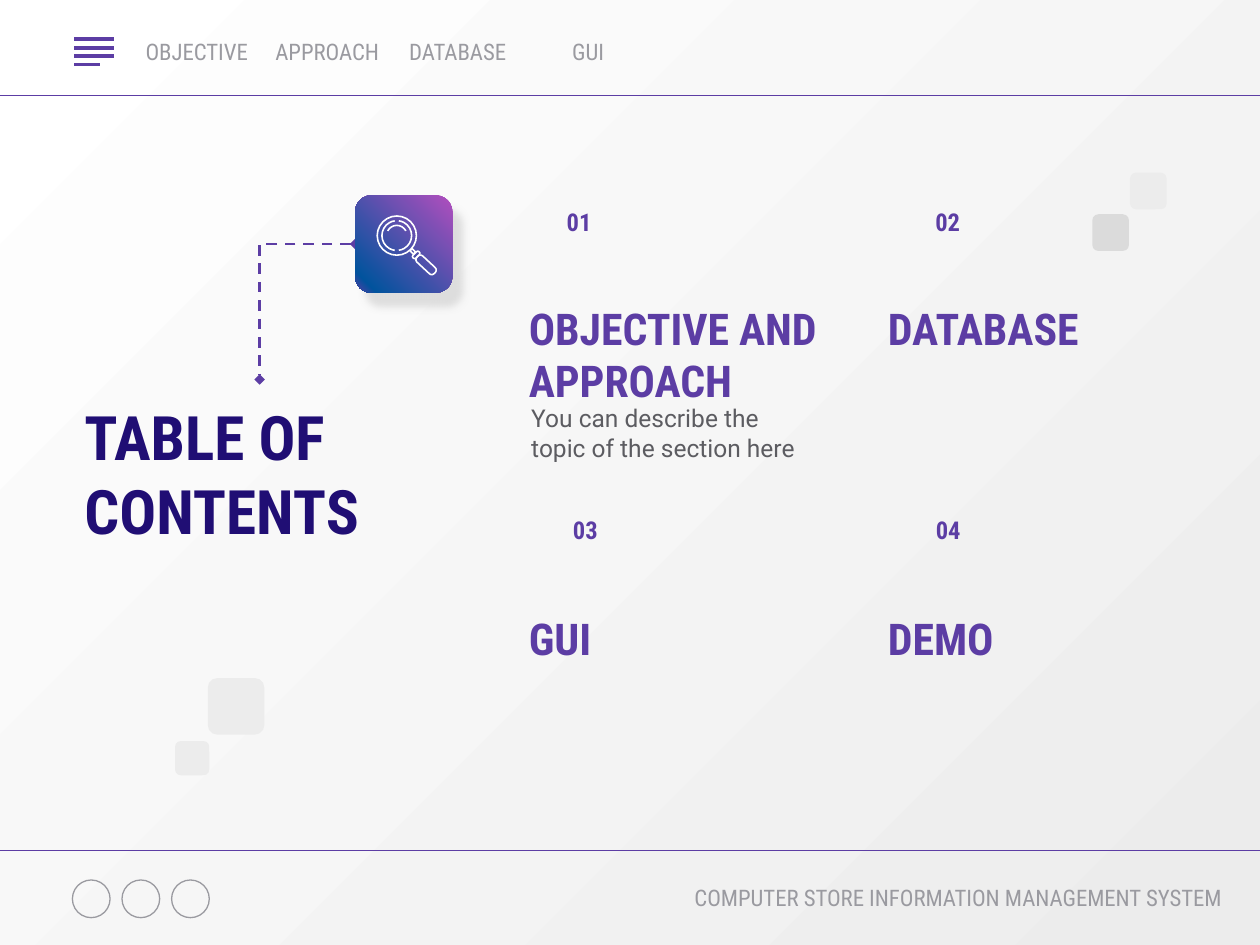
import copy
from dataclasses import dataclass

import lxml.etree
import pptx
import pptx.dml.color
import pptx.enum.dml
import pptx.enum.shapes
import pptx.enum.text
import pptx.oxml
import pptx.oxml.ns
import pptx.util

Cm, Pt = pptx.util.Cm, pptx.util.Pt
RGB = pptx.dml.color.RGBColor.from_string
SHAPE = pptx.enum.shapes.MSO_SHAPE
CONNECTOR = pptx.enum.shapes.MSO_CONNECTOR
ALIGN = pptx.enum.text.PP_ALIGN
ANCHOR = pptx.enum.text.MSO_ANCHOR
qn = pptx.oxml.ns.qn


@dataclass(frozen=True)
class Theme:
    purple: str = "5C3DA4"
    navy: str = "200E74"
    body: str = "5C5C61"
    muted: str = "9A9AA0"
    white: str = "FFFFFF"
    pale: str = "ECECEC"
    grey: str = "DBDBDB"
    magenta: str = "B24EBE"
    blue: str = "01539D"
    condensed: str = "Roboto Condensed"
    regular: str = "Roboto"
    title_size: int = 35
    heading_size: int = 25
    text_size: int = 14
    small_size: int = 13


theme = Theme()


def write_text(box, area, text, size, color, font=theme.condensed, bold=False,
               align=ALIGN.LEFT, anchor=ANCHOR.MIDDLE, inset=0.25, top_inset=0.25):
    """Place a box at area (left, top, width, height in cm) and fill it with one formatted run."""
    for name, value in zip(("left", "top", "width", "height"), area):
        setattr(box, name, Cm(value))
    frame = box.text_frame
    frame_format = {"word_wrap": True, "auto_size": pptx.enum.text.MSO_AUTO_SIZE.NONE,
                    "vertical_anchor": anchor, "margin_left": Cm(inset),
                    "margin_right": Cm(inset), "margin_top": Cm(top_inset),
                    "margin_bottom": Cm(top_inset)}
    for name, value in frame_format.items():
        setattr(frame, name, value)
    para = frame.paragraphs[0]
    para.alignment = align
    para.space_before = Pt(0)
    properties = para._p.get_or_add_pPr()
    properties.set("marL", "0")
    properties.set("indent", "0")
    lxml.etree.SubElement(properties, qn("a:buNone"))
    span = para.add_run()
    span.text = text
    for name, value in {"name": font, "size": Pt(size), "bold": bold}.items():
        setattr(span.font, name, value)
    span.font.color.rgb = RGB(color)


def add_plain(kind, area, fill=None, line=None, width=0.75):
    """Add a preset shape without shadow; area is left, top, width, height in cm."""
    shape = page.shapes.add_shape(kind, *map(Cm, area))
    shape.shadow.inherit = False
    if fill:
        shape.fill.solid()
        shape.fill.fore_color.rgb = RGB(fill)
    else:
        shape.fill.background()
    if line:
        shape.line.color.rgb = RGB(line)
        shape.line.width = Pt(width)
    else:
        shape.line.fill.background()
    return shape


deck = pptx.Presentation()
deck.slide_width, deck.slide_height = Cm(25.4), Cm(19.05)
page = deck.slides.add_slide(deck.slide_layouts.get_by_name("Comparison"))
title, *headings = [box for box in page.placeholders if box.placeholder_format.idx < 5]
for box in list(page.placeholders):
    if box.placeholder_format.idx >= 5:
        box._element.getparent().remove(box._element)

# Background
background = page.background.fill
background.gradient()
background.gradient_angle = 315
for stop, color in zip(background.gradient_stops, (theme.white, theme.pale)):
    stop.color.rgb = RGB(color)

# Header and footer rules, menu icon: left, right, height on the page, weight
rules = [(0, 25.4, y, 0.75) for y in (1.93, 17.15)]
rules += [(1.5, 1.5 + length, 0.79 + 0.17 * row, 2.25)
          for row, length in enumerate((0.79, 0.79, 0.79, 0.51))]
for left, right, y, weight in rules:
    rule = page.shapes.add_connector(CONNECTOR.STRAIGHT, Cm(left), Cm(y), Cm(right), Cm(y))
    rule.line.color.rgb = RGB(theme.purple)
    rule.line.width = Pt(weight)
    lxml.etree.SubElement(rule._element.spPr, qn("a:effectLst"))

# Social buttons
for column in range(3):
    add_plain(SHAPE.OVAL, (1.46 + column, 17.74, 0.76, 0.76), line=theme.muted)

# Navigation and footer text
for column, label in enumerate(("OBJECTIVE", "APPROACH", "DATABASE", "GUI")):
    write_text(page.shapes.add_textbox(0, 0, 0, 0), (2.57 + 2.63 * column, 0.48, 2.79, 1.12),
               label, theme.small_size, theme.muted, align=ALIGN.CENTER)
write_text(page.shapes.add_textbox(0, 0, 0, 0), (12.17, 17.78, 12.7, 1.12),
           "COMPUTER STORE INFORMATION MANAGEMENT SYSTEM", theme.small_size, theme.muted,
           align=ALIGN.RIGHT, anchor=ANCHOR.TOP, top_inset=0.03)

# Title and the four sections
write_text(title, (1.45, 7.65, 7.57, 3.76), "TABLE OF CONTENTS",
           theme.title_size, theme.navy, bold=True)
sections = [
    ("01", "OBJECTIVE AND APPROACH", (10.41, 6.4, 6.35, 1.47), (10.67, 4.04, 2.01, 1.8)),
    ("02", "DATABASE", (17.65, 5.87, 5.08, 1.47), (17.96, 4.04, 2.29, 1.8)),
    ("03", "GUI", (10.41, 12.12, 5.08, 1.47), (10.67, 10.26, 2.26, 1.8)),
    ("04", "DEMO", (17.65, 12.12, 5.08, 1.47), (17.96, 10.26, 2.31, 1.8)),
]
for heading, (number, name, heading_area, number_area) in zip(headings, sections):
    write_text(heading, heading_area, name, theme.heading_size, theme.purple, bold=True)
    write_text(page.shapes.add_textbox(0, 0, 0, 0), number_area, number, theme.text_size,
               theme.purple, bold=True, align=ALIGN.CENTER, anchor=ANCHOR.TOP, top_inset=0.13)
write_text(page.shapes.add_textbox(0, 0, 0, 0), (10.46, 8.05, 6.1, 1.35),
           "You can describe the topic of the section here",
           theme.text_size, theme.body, font=theme.regular)

# Dashed connector from the icon to the title
link = page.shapes.add_connector(CONNECTOR.ELBOW, Cm(7.16), Cm(4.92), Cm(5.23), Cm(7.65))
link._element.spPr.find(qn("a:prstGeom")).set("prst", "bentConnector2")
link.line.color.rgb = RGB(theme.purple)
link.line.width = Pt(1.5)
link.line.dash_style = pptx.enum.dml.MSO_LINE.DASH
for end in ("a:headEnd", "a:tailEnd"):
    lxml.etree.SubElement(link.line._get_or_add_ln(), qn(end), type="diamond")
lxml.etree.SubElement(link._element.spPr, qn("a:effectLst"))

# Icon tile
tile = add_plain(SHAPE.ROUNDED_RECTANGLE, (7.16, 3.94, 1.96, 1.96))
link.begin_connect(tile, 1)
link.end_connect(title, 0)
tile.fill.gradient()
tile.fill.gradient_angle = 225
stop_list = tile._element.spPr.find(".//" + qn("a:gsLst"))
stop_list.append(copy.deepcopy(stop_list[-1]))
tile_stops = ((0, theme.magenta), (0.89, theme.blue), (1, theme.purple))
for stop, (position, color) in zip(tile.fill.gradient_stops, tile_stops):
    stop.position = position
    stop.color.rgb = RGB(color)
tile._element.spPr.find(qn("a:effectLst")).append(pptx.oxml.parse_xml(
    '<a:outerShdw xmlns:a="http://schemas.openxmlformats.org/drawingml/2006/main" '
    'blurRad="57150" dist="124460" dir="3300000" algn="bl" rotWithShape="0">'
    '<a:srgbClr val="CCCCCC"><a:alpha val="60000"/></a:srgbClr></a:outerShdw>'))

# Magnifier: shape, centre x, centre y, width, height, rotation, arc angles
magnifier = [
    (SHAPE.OVAL, 8, 4.75, 0.79, 0.79, 0, None),
    (SHAPE.ARC, 8, 4.75, 0.6, 0.6, 0, (98, 262)),
    (SHAPE.ARC, 8, 4.75, 0.6, 0.6, 0, (278, 82)),
    (SHAPE.ARC, 8, 4.75, 0.41, 0.41, 0, (207, 333)),
    (SHAPE.RECTANGLE, 8.32, 5.07, 0.1, 0.06, 45, None),
    (SHAPE.ROUNDED_RECTANGLE, 8.39, 5.14, 0.08, 0.17, 45, None),
    (SHAPE.ROUNDED_RECTANGLE, 8.59, 5.34, 0.48, 0.17, 43, None),
]
for kind, x, y, width, height, rotation, angles in magnifier:
    part = add_plain(kind, (x - width / 2, y - height / 2, width, height),
                     line=theme.white, width=0.9)
    part.rotation = rotation
    if angles:
        for index, angle in enumerate(angles):
            part.adjustments[index] = angle * 0.6
    elif kind == SHAPE.ROUNDED_RECTANGLE:
        part.adjustments[0] = 0.4

# Decorative squares
for left, top, side, color in ((22.02, 4.32, 0.74, theme.grey), (22.78, 3.48, 0.74, theme.pale),
                               (4.19, 13.67, 1.14, theme.pale), (3.53, 14.94, 0.69, theme.pale)):
    add_plain(SHAPE.ROUNDED_RECTANGLE, (left, top, side, side), fill=color)

deck.save("out.pptx")
